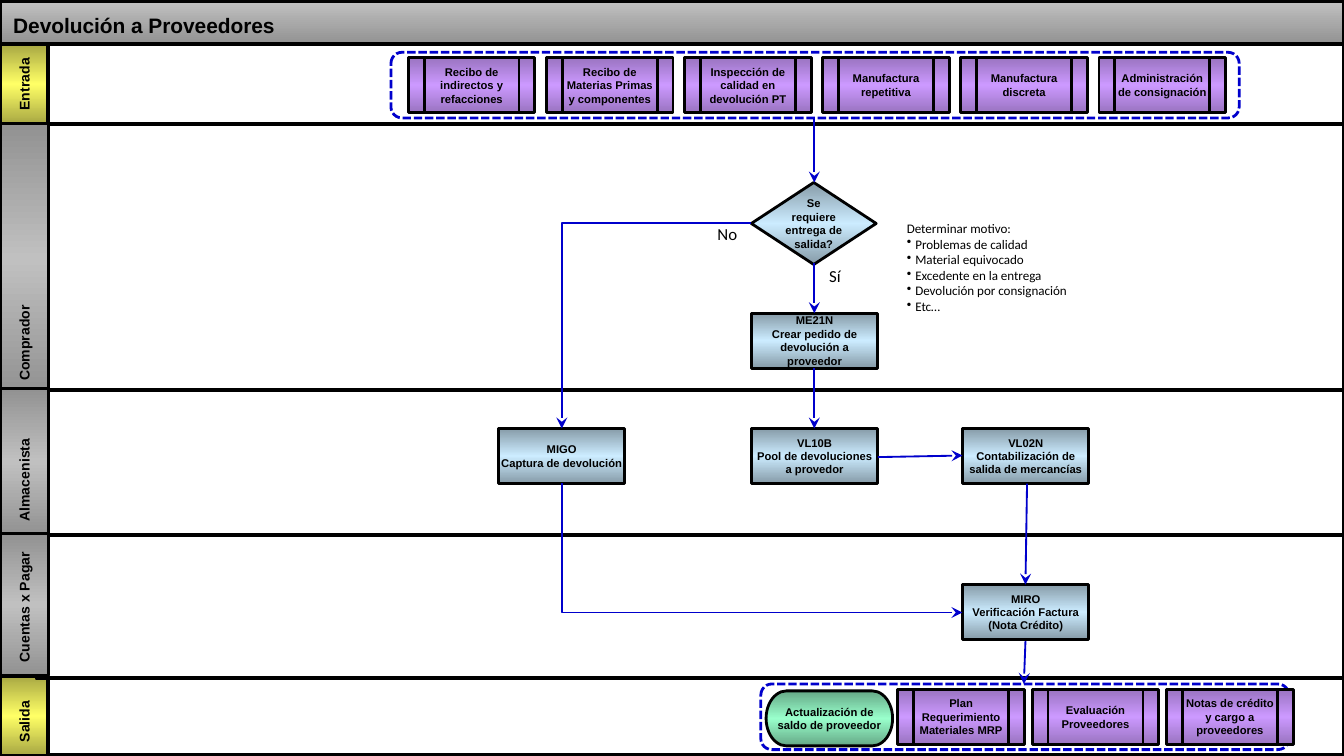
"""Build the swimlane flowchart for returns to suppliers."""
from copy import deepcopy
from dataclasses import dataclass
from typing import Optional

from lxml import etree
from pptx import Presentation
from pptx import util as u
from pptx.dml.color import RGBColor
from pptx.enum import dml, shapes, text
from pptx.oxml.ns import qn

SHAPE = shapes.MSO_SHAPE
GRAY = ("929292", "C0C0C0")
YELLOW = ("A8A843", "FFFF66")
PURPLE = ("9A74C1", "CC99FF")
BLUE = ("869BA8", "CCECFF")
GREEN = ("65A886", "99FFCC")
BLACK, WHITE, FLOW = "000000", "FFFFFF", "0000CC"
SLIDE_WIDTH, LABEL_WIDTH = 25.4, 0.91
BOX_WIDTH, BOX_HEIGHT = 2.39, 1.04
AXIS, NO_COLUMN = 15.39, 10.62


@dataclass
class Lane:
    name: str
    row: tuple[float, float, float]
    label: tuple[float, float]
    tones: tuple[str, str] = GRAY
    border: float = 1.75


@dataclass
class Node:
    lines: list[str]
    left: float
    top: float
    tones: tuple[str, str] = BLUE
    kind: shapes.MSO_SHAPE = SHAPE.RECTANGLE
    width: float = BOX_WIDTH
    height: float = BOX_HEIGHT


@dataclass
class Arrow:
    start: tuple[float, float]
    end: tuple[float, float]
    bent: bool = False
    tip: str = "tailEnd"


@dataclass
class Note:
    lines: list[str]
    area: tuple[float, float, float, float]
    size: float
    bullets: bool = False


OUTER_LANES = [
    Lane("Entrada", (0, 0.84, 1.5), (0.84, 1.5), YELLOW, 2),
    Lane("Salida", (0, 12.78, 1.5), (12.78, 1.5), YELLOW, 2),
]
INNER_LANES = [
    Lane("Comprador", (0.89, 2.34, 5.03), (2.34, 5.11)),
    Lane("Almacenista", (0.69, 7.29, 2.82), (7.34, 2.77)),
    Lane("Cuentas x Pagar", (0.69, 10.03, 2.79), (10.08, 2.69)),
]
FRAMES = [(7.39, 0.99, 16.03, 1.24), (14.38, 12.93, 9.98, 1.24)]
INPUTS = [
    "Recibo de indirectos y refacciones",
    "Recibo de Materias Primas y componentes",
    "Inspección de calidad en devolución PT",
    "Manufactura repetitiva",
    "Manufactura discreta",
    "Administración de consignación",
]
OUTPUTS = [
    "Plan Requerimiento Materiales MRP",
    "Evaluación Proveedores",
    "Notas de crédito y cargo a proveedores",
]
STEPS = [
    Node(["Se requiere entrega de salida?"], 14.2, 3.45, BLUE, SHAPE.DIAMOND, 2.36, 1.55),
    Node(["ME21N", "Crear pedido de devolución a proveedor"], 14.2, 5.92),
    Node(["MIGO", "Captura de devolución"], 9.42, 8.1),
    Node(["VL10B", "Pool de devoluciones a provedor"], 14.2, 8.1),
    Node(["VL02N", "Contabilización de salida de mercancías"], 18.19, 8.1),
    Node(["MIRO", "Verificación Factura", "(Nota Crédito)"], 18.19, 11.05),
    Node(["Actualización de saldo de proveedor"], 14.48, 13.06, GREEN, SHAPE.FLOWCHART_TERMINATOR),
]
ARROWS = [
    Arrow((AXIS, 2.24), (AXIS, 3.45)),
    Arrow((AXIS, 4.98), (AXIS, 5.92)),
    Arrow((AXIS, 6.96), (AXIS, 8.1)),
    Arrow((14.2, 4.22), (NO_COLUMN, 8.1), bent=True),
    Arrow((18.19, 11.58), (NO_COLUMN, 9.14), bent=True, tip="headEnd"),
    Arrow((16.59, 8.64), (18.19, 8.61)),
    Arrow((19.41, 9.14), (19.38, 11.05)),
    Arrow((19.38, 12.12), (19.35, 12.93)),
]
REASONS = [
    "Determinar motivo:", "Problemas de calidad", "Material equivocado",
    "Excedente en la entrega", "Devolución por consignación", "Etc…",
]
NOTES = [
    Note(REASONS, (16.89, 4.04, 4.5, 2.36), 7, bullets=True),
    Note(["Sí"], (15.42, 4.9, 1.19, 0.64), 9),
    Note(["No"], (13.31, 4.11, 1.5, 0.64), 9),
]


def color(value: str) -> RGBColor:
    return RGBColor.from_string(value)


def write(shape, lines: list[str], size: float, font: str = "Arial", bold: bool = True,
          align=text.PP_ALIGN.CENTER, bullets: bool = False) -> None:
    frame = shape.text_frame
    for index, line in enumerate(lines):
        paragraph = frame.add_paragraph() if index else frame.paragraphs[0]
        paragraph.alignment = align
        if bullets and index:
            properties = paragraph._p.get_or_add_pPr()
            properties.set("marL", str(u.Cm(0.16)))
            properties.set("indent", str(u.Cm(-0.16)))
            etree.SubElement(properties, qn("a:buChar"), char="•")
        run = paragraph.add_run()
        run.text = line
        run.font.name, run.font.size, run.font.bold = font, u.Pt(size), bold
        run.font.color.rgb = color(BLACK)


def add_block(slide, kind, area: tuple[float, float, float, float],
              tones: Optional[tuple[str, ...]], border: float, line: str = BLACK):
    shape = slide.shapes.add_shape(kind, *map(u.Cm, area))
    shape.shadow.inherit = False
    shape.line.color.rgb, shape.line.width = color(line), u.Pt(border)
    if tones is None:
        shape.fill.background()
    elif len(tones) == 1:
        shape.fill.solid()
        shape.fill.fore_color.rgb = color(tones[0])
    else:
        shape.fill.gradient()
        shape.fill.gradient_angle = 270
        for stop, tone in zip(shape.fill.gradient_stops, tones):
            stop.color.rgb = color(tone)
    return shape


def mirror_gradient(shape) -> None:
    stops = shape._element.spPr.find(qn("a:gradFill")).find(qn("a:gsLst"))
    stops[1].set("pos", "50000")
    last = deepcopy(stops[0])
    last.set("pos", "100000")
    stops.append(last)


def add_lanes(slide, lanes: list[Lane]) -> None:
    for lane in reversed(lanes):
        left, top, height = lane.row
        add_block(slide, SHAPE.RECTANGLE, (left, top, SLIDE_WIDTH - left, height), (WHITE,), 2)
    for lane in lanes:
        top, height = lane.label
        label = add_block(slide, SHAPE.RECTANGLE, (0, top, LABEL_WIDTH, height), lane.tones, lane.border)
        mirror_gradient(label)
        label.rotation = 180
        label.text_frame.word_wrap = False
        label.text_frame.vertical_anchor = text.MSO_ANCHOR.MIDDLE
        label.text_frame._txBody.bodyPr.set("vert", "eaVert")
        write(label, [lane.name], 7.5)


def add_node(slide, node: Node) -> None:
    shape = add_block(slide, node.kind, (node.left, node.top, node.width, node.height), node.tones, 1.5)
    mirror_gradient(shape)
    frame = shape.text_frame
    frame.word_wrap, frame.vertical_anchor = True, text.MSO_ANCHOR.MIDDLE
    frame.margin_left = frame.margin_right = frame.margin_top = frame.margin_bottom = u.Cm(0.02)
    write(shape, node.lines, 6)


def add_arrow(slide, arrow: Arrow) -> None:
    kind = shapes.MSO_CONNECTOR.ELBOW if arrow.bent else shapes.MSO_CONNECTOR.STRAIGHT
    connector = slide.shapes.add_connector(kind, *map(u.Cm, arrow.start + arrow.end))
    connector.line.color.rgb, connector.line.width = color(FLOW), u.Pt(1)
    properties = connector._element.spPr
    if arrow.bent:
        properties.find(qn("a:prstGeom")).set("prst", "bentConnector2")
    etree.SubElement(properties.find(qn("a:ln")), qn(f"a:{arrow.tip}"), type="stealth")
    etree.SubElement(properties, qn("a:effectLst"))


def add_note(slide, note: Note) -> None:
    box = slide.shapes.add_textbox(*map(u.Cm, note.area))
    box.text_frame.word_wrap = True
    write(box, note.lines, note.size, "Calibri", False, text.PP_ALIGN.LEFT, note.bullets)


def main() -> None:
    presentation = Presentation()
    presentation.slide_width, presentation.slide_height = u.Cm(SLIDE_WIDTH), u.Cm(14.29)
    slide = presentation.slides.add_slide(presentation.slide_layouts[6])
    slide.background.fill.solid()
    slide.background.fill.fore_color.rgb = color("F2F2F2")
    add_lanes(slide, OUTER_LANES)
    title = add_block(slide, SHAPE.RECTANGLE, (0, 0.03, SLIDE_WIDTH, 0.81), GRAY[::-1], 2)
    title.text_frame.vertical_anchor = text.MSO_ANCHOR.BOTTOM
    write(title, ["Devolución a Proveedores"], 11.2, align=text.PP_ALIGN.LEFT)
    add_lanes(slide, INNER_LANES)
    for area in FRAMES:
        frame = add_block(slide, SHAPE.FLOWCHART_ALTERNATE_PROCESS, area, None, 1.5, FLOW)
        frame.line.dash_style = dml.MSO_LINE.SQUARE_DOT
    for names, left, top, step in ((INPUTS, 7.72, 1.09, 2.61), (OUTPUTS, 16.97, 13.03, 2.54)):
        for index, name in enumerate(names):
            add_node(slide, Node([name], left + index * step, top, PURPLE, SHAPE.FLOWCHART_PREDEFINED_PROCESS))
    for node in STEPS:
        add_node(slide, node)
    for arrow in ARROWS:
        add_arrow(slide, arrow)
    for note in NOTES:
        add_note(slide, note)
    presentation.save("out.pptx")


if __name__ == "__main__":
    main()
